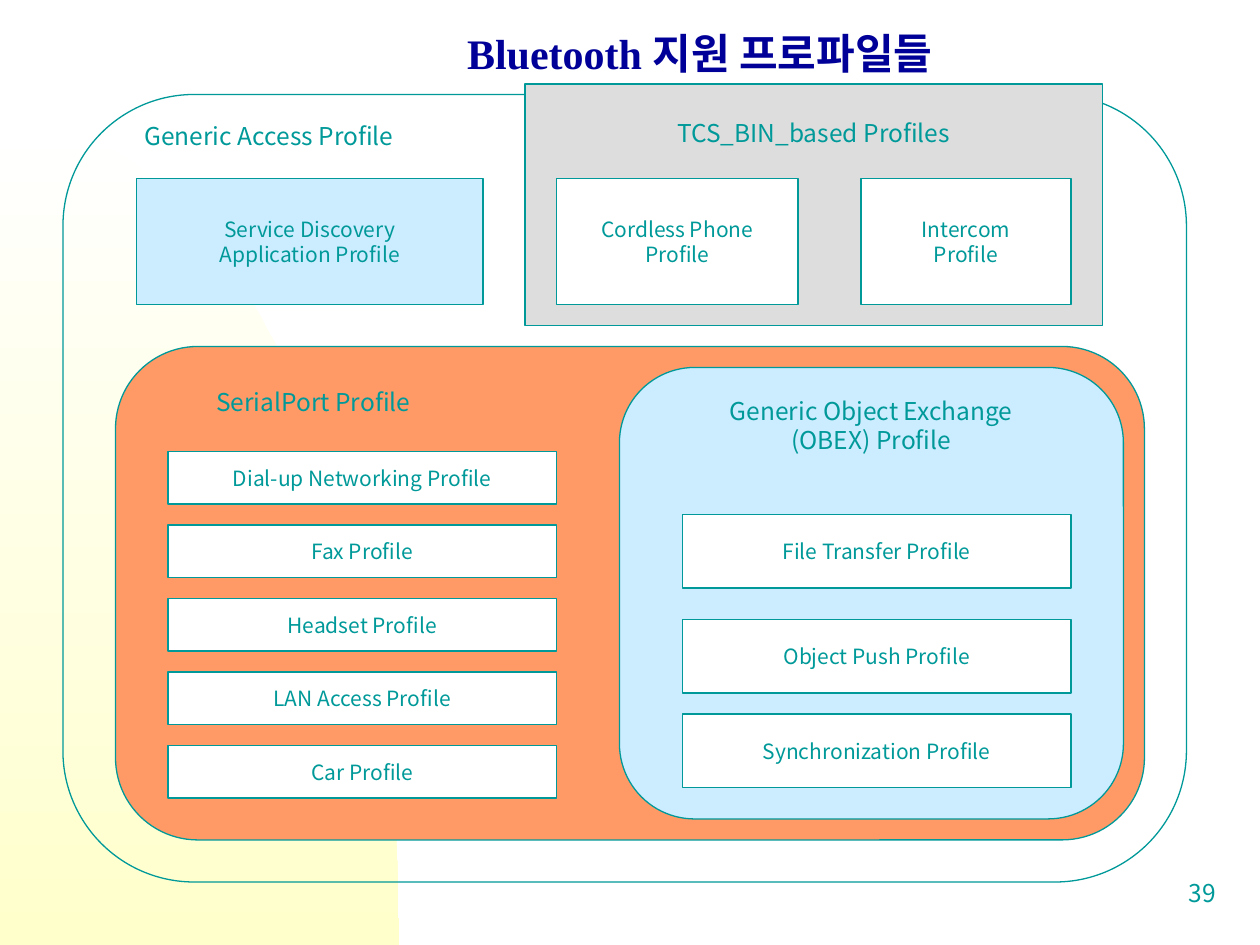
from math import cos, pi, sin

from lxml.etree import SubElement
from pptx import Presentation
from pptx.dml.color import RGBColor
from pptx.enum.shapes import MSO_SHAPE as Shape
from pptx.enum.text import MSO_ANCHOR as Anchor, PP_ALIGN as Align
from pptx.oxml.ns import qn
from pptx.util import Pt

PX = 7620
TEAL = RGBColor(0x00, 0x99, 0x99)
NAVY = RGBColor(0x00, 0x00, 0x99)
WHITE = RGBColor(0xFF, 0xFF, 0xFF)
CREAM = RGBColor(0xFF, 0xFF, 0xCC)
ORANGE = RGBColor(0xFF, 0x99, 0x66)
SKY = RGBColor(0xCC, 0xEC, 0xFF)
GRAY = RGBColor(0xDD, 0xDD, 0xDD)
SANS, SERIF = "Noto Sans CJK KR", "Times New Roman"

TITLE = "Bluetooth 지원 프로파일들"
PAGE_NUMBER = "39"
SWEEP_WIDTH, SWEEP_HEIGHT, SWEEP_STEPS = 380, 790, 60

# label, box, preset, fill, alignment, left inset, top inset
GROUPS = [
    ("Generic Access Profile", (60, 90, 1070, 750), Shape.ROUNDED_RECTANGLE, None, Align.LEFT, 41, -11),
    ("SerialPort Profile", (110, 330, 980, 470), Shape.ROUNDED_RECTANGLE, ORANGE, Align.LEFT, 73, 16),
    ("Generic Object Exchange\n(OBEX) Profile", (590, 350, 480, 430), Shape.ROUNDED_RECTANGLE, SKY, Align.CENTER, 12, 6),
    ("TCS_BIN_based Profiles", (500, 80, 550, 230), Shape.RECTANGLE, GRAY, Align.CENTER, 12, 32),
]
PROFILES = [
    ("Service Discovery\nApplication Profile", (130, 170, 330, 120), SKY),
    ("Cordless Phone\nProfile", (530, 170, 230, 120), WHITE),
    ("Intercom\nProfile", (820, 170, 200, 120), WHITE),
    ("File Transfer Profile", (650, 490, 370, 70), WHITE),
    ("Object Push Profile", (650, 590, 370, 70), WHITE),
    ("Synchronization Profile", (650, 680, 370, 70), WHITE),
]
SERIAL_PROFILES = ["Dial-up Networking Profile", "Fax Profile", "Headset Profile", "LAN Access Profile", "Car Profile"]
SERIAL_TOP, SERIAL_STEP = 430, 70


def emu(box):
    return [length * PX for length in box]


def write(frame, words, size, align, color=TEAL, font=SANS, bold=False):
    frame.text = words
    for paragraph in frame.paragraphs:
        paragraph.alignment = align
        for run in paragraph.runs:
            run.font.size, run.font.name, run.font.bold = Pt(size), font, bold
            run.font.color.rgb = color
            SubElement(run.font._element, qn("a:ea"), typeface=SANS)


def add_box(slide, words, box, preset, fill, size, align):
    profile = slide.shapes.add_shape(preset, *emu(box))
    profile.shadow.inherit = False
    if fill is None:
        profile.fill.background()
    else:
        profile.fill.solid()
        profile.fill.fore_color.rgb = fill
    profile.line.color.rgb = TEAL
    profile.line.width = Pt(0.75)
    profile.text_frame.vertical_anchor = Anchor.MIDDLE
    write(profile.text_frame, words, size, align)
    return profile


def add_group(slide, words, box, preset, fill, align, left, top):
    group = add_box(slide, words, box, preset, fill, 14, align)
    group.text_frame.vertical_anchor = Anchor.TOP
    group.text_frame.margin_left = left * PX
    group.text_frame.margin_top = top * PX


def add_sweep(slide):
    bottom = 900
    angles = [pi / 2 * step / SWEEP_STEPS for step in range(SWEEP_STEPS + 1)]
    arc = [(round(SWEEP_WIDTH * sin(a)), round(bottom - SWEEP_HEIGHT * cos(a))) for a in angles]
    builder = slide.shapes.build_freeform(*arc[0], scale=PX)
    builder.add_line_segments(arc[1:] + [(0, bottom)], close=True)
    sweep = builder.convert_to_shape()
    sweep.shadow.inherit = False
    sweep.line.fill.background()
    sweep.fill.gradient()
    sweep.fill.gradient_angle = 270
    for stop, color, position in zip(sweep.fill.gradient_stops, (WHITE, CREAM), (0, 1)):
        stop.color.rgb = color
        stop.position = position


def main():
    """Build the slide of Bluetooth profiles."""
    deck = Presentation()
    deck.slide_width, deck.slide_height = emu((1200, 900))
    slide = deck.slides.add_slide(deck.slide_layouts[6])
    add_sweep(slide)

    number = slide.shapes.add_textbox(*emu((920, 820, 250, 60))).text_frame
    number.word_wrap = True
    number.vertical_anchor = Anchor.MIDDLE
    write(number, PAGE_NUMBER, 14, Align.RIGHT)

    for group in GROUPS:
        add_group(slide, *group)
    serial = [(name, (160, SERIAL_TOP + i * SERIAL_STEP, 370, 50), WHITE) for i, name in enumerate(SERIAL_PROFILES)]
    for words, box, fill in PROFILES + serial:
        add_box(slide, words, box, Shape.RECTANGLE, fill, 12, Align.CENTER)

    title = slide.shapes.add_textbox(*emu((433, 20, 479, 60))).text_frame
    write(title, TITLE, 24, Align.LEFT, NAVY, SERIF, True)
    deck.save("out.pptx")


if __name__ == "__main__":
    main()
